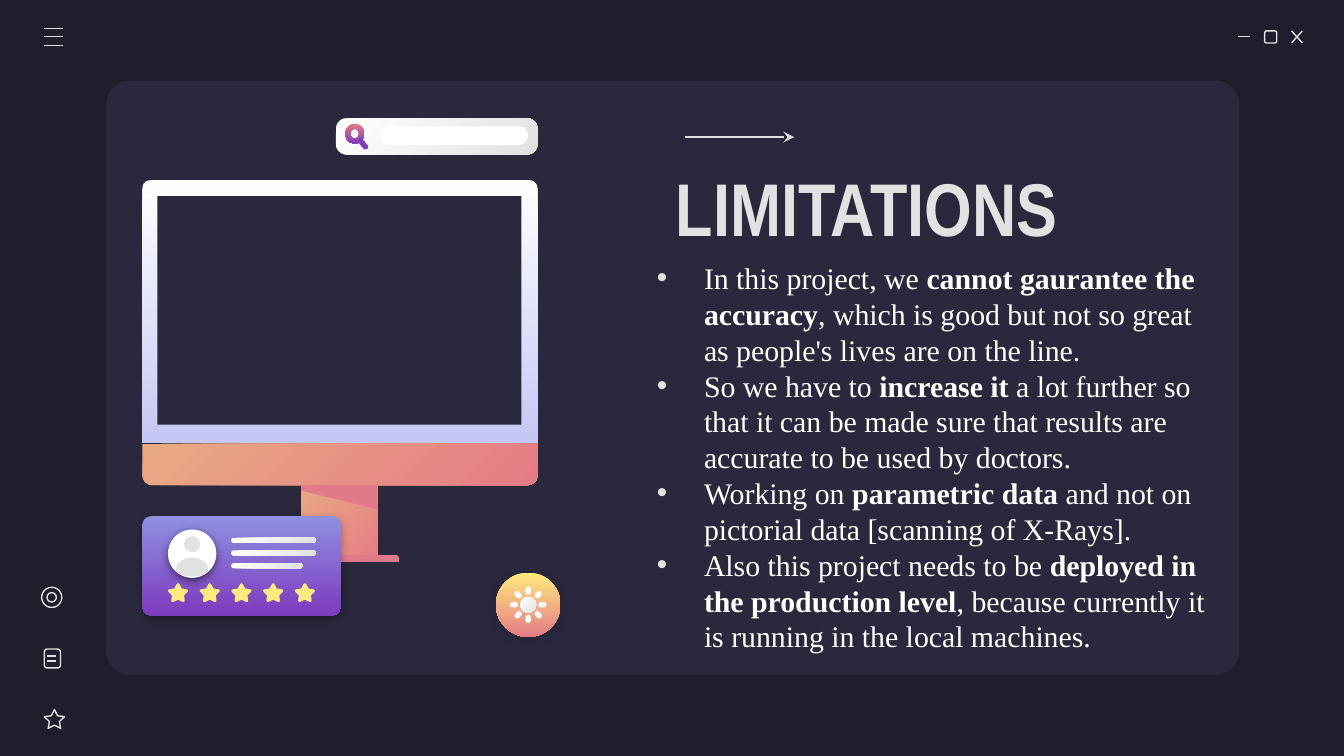
"""Builds the Limitations slide: window chrome, desktop illustration and bulleted text."""
from math import cos, pi, radians, sin

from lxml import etree
from pptx import Presentation
from pptx.dml.color import RGBColor
from pptx.enum.shapes import MSO_CONNECTOR, MSO_SHAPE
from pptx.enum.text import MSO_ANCHOR
from pptx.oxml.ns import qn
from pptx.util import Inches, Pt

ROUND, ELLIPSE, STAR = MSO_SHAPE.ROUNDED_RECTANGLE, MSO_SHAPE.OVAL, MSO_SHAPE.STAR_5_POINT
RECT, TWO_ROUND, DONUT = MSO_SHAPE.RECTANGLE, MSO_SHAPE.ROUND_2_SAME_RECTANGLE, MSO_SHAPE.DONUT
STRAIGHT, MIDDLE = MSO_CONNECTOR.STRAIGHT, MSO_ANCHOR.MIDDLE

WIDTH = 10
HEIGHT = WIDTH * 9 / 16
COLORS = {
    "night": "1E1E2C", "panel": "29283D", "silver": "E2E2E2", "white": "FFFFFF",
    "lilac": "C5C7F4", "peach": "E9A984", "coral": "E57C85", "rose": "E07A88",
    "blue": "8D90E1", "purple": "7E3BBE", "yellow": "FFEA7D", "black": "000000",
}
SHEEN = ("white", "silver", 315)
SUNSET = ("peach", "coral", 315)

TITLE = "LIMITATIONS"
BULLETS = [
    [("In this project, we ", False), ("cannot gaurantee the accuracy", True),
     (", which is good but not so great as people's lives are on the line.", False)],
    [("So we have to ", False), ("increase it ", True),
     ("a lot further so that it can be made sure that results are accurate "
      "to be used by doctors.", False)],
    [("Working on ", False), ("parametric data ", True),
     ("and not on pictorial data [scanning of X-Rays].", False)],
    [("Also this project needs to be ", False), ("deployed in the production level", True),
     (", because currently it is running in the local machines.", False)],
]
TITLE_FONT = {"name": "Arial Narrow", "size": Pt(40), "bold": True}
BODY_FONT = {"name": "Times New Roman", "size": Pt(16)}
FRAME = {"word_wrap": True, "vertical_anchor": MIDDLE, "margin_left": Inches(0.1),
         "margin_right": Inches(0.1), "margin_top": Inches(0.1), "margin_bottom": Inches(0.1)}

ICON_LINES = [
    (9.21, 0.27, 9.3, 0.27), (9.61, 0.23, 9.69, 0.32), (9.69, 0.23, 9.61, 0.32),
    *[(0.33, y, 0.47, y) for y in (0.21, 0.27, 0.34)],
    *[(0.35, y, 0.42, y) for y in (4.88, 4.92)],
]
ICON_OUTLINES = [
    (ROUND, (9.41, 0.23, 0.09, 0.09), [0.17]), (STAR, (0.33, 5.28, 0.15, 0.14), [0.25]),
    (ROUND, (0.33, 4.83, 0.12, 0.14), [0.17]), (ELLIPSE, (0.31, 4.37, 0.15, 0.15), []),
    (ELLIPSE, (0.35, 4.41, 0.07, 0.07), []),
]
MONITOR = [
    (TWO_ROUND, (1.06, 1.34, 2.94, 1.96), ("white", "lilac", 270), [0.03, 0]),
    (RECT, (1.17, 1.46, 2.71, 1.7), "panel", []),
    (TWO_ROUND, (1.06, 3.3, 2.94, 0.31), SUNSET, [0, 0.24]),
    (RECT, (2.24, 3.61, 0.57, 0.57), SUNSET, []),
    (TWO_ROUND, (2.09, 4.13, 0.88, 0.05), "rose", [0.5, 0]),
]
NECK_SHADE = [(2.24, 3.61), (2.24, 3.65), (2.81, 3.79), (2.81, 3.61)]
PROFILE_CARD = (ROUND, (1.06, 3.84, 1.48, 0.74), ("blue", "purple", 270), [0.09])
AVATAR = (ELLIPSE, (1.25, 3.94, 0.36, 0.36), "white", [])
HEAD = (ELLIPSE, (1.37, 3.99, 0.12, 0.12), "silver", [])
SHOULDERS = (1.43, 4.24, 0.12, 0.09, 0.05)
CARD_LINE_WIDTHS = [0.63, 0.63, 0.53]
RATING = 5
SUN = (3.93, 4.5)
SUN_DISC = (ELLIPSE, (3.69, 4.26, 0.48, 0.48), ("yellow", "coral", 270), [])
SUN_CORE = (ELLIPSE, (3.87, 4.44, 0.12, 0.12), SHEEN, [])
SEARCH_BAR = [
    (ROUND, (2.5, 0.88, 1.5, 0.27), SHEEN, [0.29]),
    (DONUT, (2.57, 0.92, 0.14, 0.15), ("coral", "purple", 270), [0.27]),
    (ROUND, (2.65, 1.05, 0.1, 0.04), "purple", [0.5], 50),
    (ROUND, (2.83, 0.94, 1.1, 0.14), "white", [0.5]),
]


def rgb(name):
    return RGBColor.from_string(COLORS[name])


def add_child(parent, tag, **attributes):
    return etree.SubElement(parent, qn(tag), attributes)


def paint(part, fill):
    part.shadow.inherit = False
    part.line.fill.background()
    if fill is None:
        part.fill.background()
    elif isinstance(fill, str):
        part.fill.solid()
        part.fill.fore_color.rgb = rgb(fill)
    else:
        part.fill.gradient()
        part.fill.gradient_angle = fill[2]
        for stop, name in zip(part.fill.gradient_stops, fill):
            stop.color.rgb = rgb(name)
    return part


def draw(preset, box, fill, adjustments=(), rotation=0):
    part = slide.shapes.add_shape(preset, *map(Inches, box))
    for index, value in enumerate(adjustments):
        part.adjustments[index] = value
    part.rotation = rotation
    return paint(part, fill)


def draw_polygon(points, fill):
    corners = [(Inches(x), Inches(y)) for x, y in points]
    builder = slide.shapes.build_freeform(*corners[0])
    builder.add_line_segments(corners[1:])
    return paint(builder.convert_to_shape(), fill)


def stroke(part, color="silver", width=0.75):
    part.line.color.rgb = rgb(color)
    part.line.width = Pt(width)


def draw_line(*ends):
    line = slide.shapes.add_connector(STRAIGHT, *map(Inches, ends))
    stroke(line)
    add_child(line._element.spPr, "a:effectLst")
    return line


def cast_shadow(part, color, opacity):
    effects = part._element.spPr.find(qn("a:effectLst"))
    shadow = add_child(effects, "a:outerShdw", blurRad=str(Pt(4.5)), dist=str(Pt(1.5)),
                       dir="5400000", algn="bl", rotWithShape="0")
    tint = add_child(shadow, "a:srgbClr", val=COLORS[color])
    add_child(tint, "a:alpha", val=str(opacity * 1000))


def add_text(box, paragraphs, font, color, frame_format, bullet=None):
    frame = slide.shapes.add_textbox(*map(Inches, box)).text_frame
    for key, value in frame_format.items():
        setattr(frame, key, value)
    for index, segments in enumerate(paragraphs):
        paragraph = frame.paragraphs[0] if index == 0 else frame.add_paragraph()
        if bullet:
            properties = paragraph._p.get_or_add_pPr()
            properties.set("marL", str(Inches(0.5)))
            properties.set("indent", str(Inches(-0.35)))
            add_child(add_child(properties, "a:buClr"), "a:srgbClr", val=COLORS["silver"])
            add_child(properties, "a:buFont", typeface="Arial")
            add_child(properties, "a:buChar", char=bullet)
        for text, bold in segments:
            run = paragraph.add_run()
            run.text = text
            for key, value in {"bold": bold, **font}.items():
                setattr(run.font, key, value)
            run.font.color.rgb = rgb(color)


deck = Presentation()
deck.slide_width, deck.slide_height = Inches(WIDTH), Inches(HEIGHT)
slide = deck.slides.add_slide(deck.slide_layouts[6])
slide.background.fill.solid()
slide.background.fill.fore_color.rgb = rgb("night")

draw(ROUND, (0.79, 0.6, 8.43, 4.42), "panel", [0.04])
for ends in ICON_LINES:
    draw_line(*ends)
for preset, box, adjustments in ICON_OUTLINES:
    stroke(draw(preset, box, None, adjustments))

add_text((4.93, 1.1, 4.15, 0.87), [[(TITLE, True)]], TITLE_FONT, "silver", FRAME)
add_text((4.64, 2.11, 4.44, 2.77), BULLETS, BODY_FONT, "white",
         {**FRAME, "margin_bottom": Inches(0.29)}, "•")

for piece in MONITOR:
    draw(*piece)
draw_polygon(NECK_SHADE, "rose")

cast_shadow(draw(*PROFILE_CARD), "black", 30)
cast_shadow(draw(*AVATAR), "black", 50)
draw(*HEAD)
center_x, center_y, reach, rise, drop = SHOULDERS
angles = [step * pi / 20 for step in range(40)]
draw_polygon([(center_x + reach * cos(a), center_y - (rise if a < pi else drop) * sin(a))
              for a in angles], "silver")
for index in range(RATING):
    star = draw(STAR, (1.26 + index * 0.236, 4.35, 0.13, 0.12), "yellow", [0.26])
    stroke(star, "yellow", 1.5)
    add_child(star.line._get_or_add_ln(), "a:round")
for index, width in enumerate(CARD_LINE_WIDTHS):
    draw(ROUND, (1.72, 4 + index * 0.095, width, 0.04), SHEEN, [0.5])

cast_shadow(draw(*SUN_DISC), "night", 30)
draw(*SUN_CORE)
for angle in range(0, 360, 45):
    ray_x = SUN[0] + 0.105 * sin(radians(angle))
    ray_y = SUN[1] - 0.105 * cos(radians(angle))
    draw(ROUND, (ray_x - 0.02, ray_y - 0.03, 0.04, 0.06), "white", [0.5], angle)

for piece in SEARCH_BAR:
    draw(*piece)
arrow = draw_line(5.1, 1.02, 5.91, 1.02)
add_child(arrow.line._get_or_add_ln(), "a:tailEnd", type="stealth")

deck.save("out.pptx")
